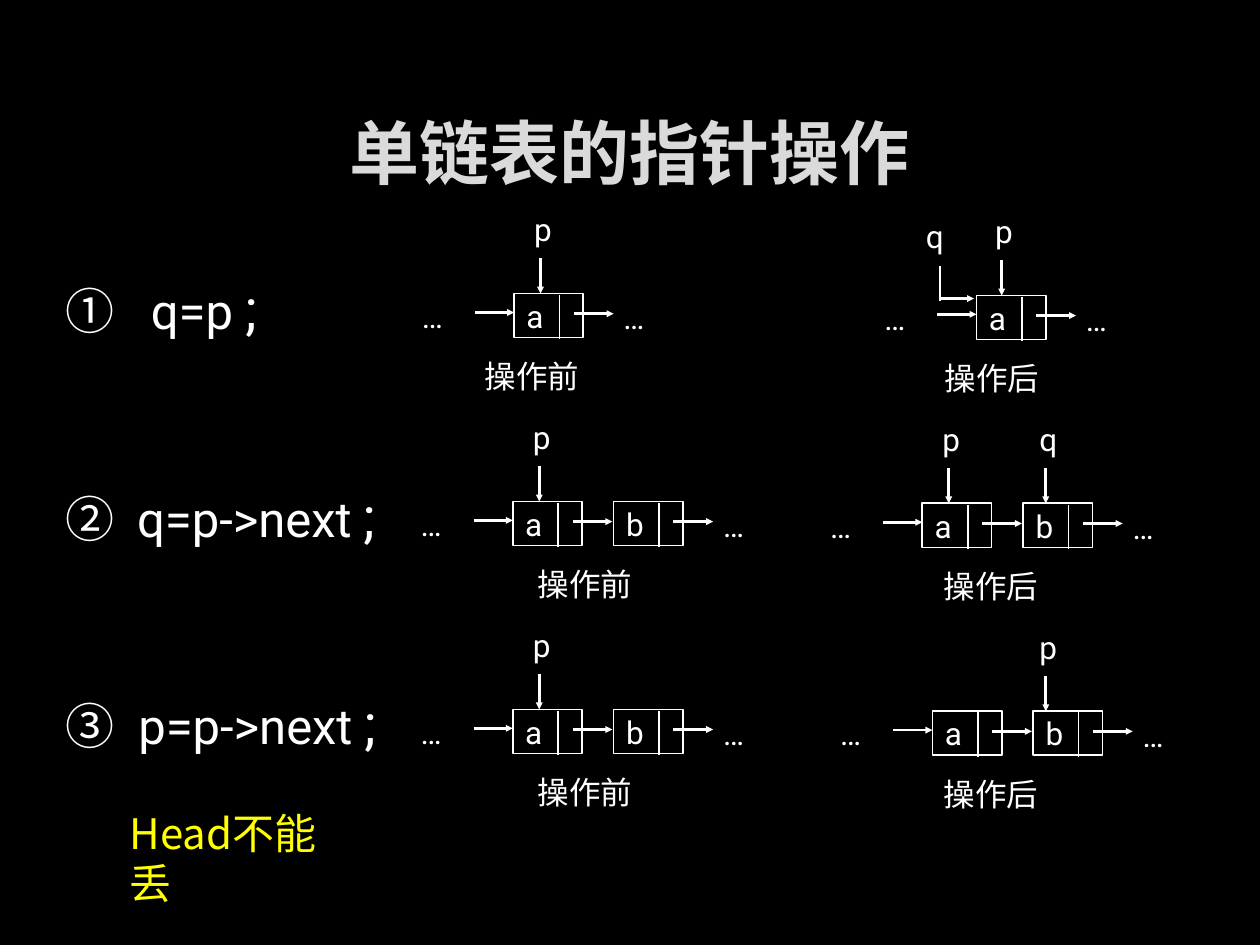
from lxml import etree
from pptx import Presentation
from pptx import util as u
from pptx.dml.color import RGBColor
from pptx.enum import shapes, text
from pptx.oxml.ns import qn

BLACK = RGBColor(0x00, 0x00, 0x00)
WHITE = RGBColor(0xFF, 0xFF, 0xFF)
SILVER = RGBColor(0xDA, 0xDA, 0xDA)
YELLOW = RGBColor(0xFF, 0xFF, 0x00)
LATIN = "Roboto"
CHINESE = "Noto Sans CJK SC"
COLUMNS, ROWS = 100, 75
FIRST_TOP, ROW_STEP, AFTER_DROP = 23.3, 16.5, 0.15
NODE_WIDTH, NODE_HEIGHT, NODE_STEP = 5.5, 3.5, 8


def write(paragraph, content, size=18, font=LATIN, color=WHITE, bold=False):
    run = paragraph.add_run()
    run.text = content
    run.font.size = u.Pt(size)
    run.font.name = font
    run.font.color.rgb = color
    run.font.bold = bold
    properties = run.font._element
    etree.SubElement(properties, qn("a:ea")).set("typeface", font)


class ListSlide:
    """Draws linked lists on a slide measured in grid columns and rows."""

    def __init__(self, presentation):
        self.column = presentation.slide_width / COLUMNS
        self.row = presentation.slide_height / ROWS
        self.slide = presentation.slides.add_slide(presentation.slide_layouts[6])
        self.slide.background.fill.solid()
        self.slide.background.fill.fore_color.rgb = BLACK

    def place(self, *lengths):
        units = (self.column, self.row) * 2
        return [round(length * unit) for length, unit in zip(lengths, units)]

    def box(self, left, top, width, height, wrap=False, anchor=text.MSO_ANCHOR.MIDDLE):
        shape = self.slide.shapes.add_textbox(*self.place(left, top, width, height))
        shape.text_frame.word_wrap = wrap
        shape.text_frame.vertical_anchor = anchor
        return shape.text_frame.paragraphs[0]

    def label(self, content, left, top, width=3.5, height=3.5):
        write(self.box(left, top, width, height), content)

    def line(self, x1, y1, x2, y2, width=1.0, arrow=False):
        connector = self.slide.shapes.add_connector(
            shapes.MSO_CONNECTOR.STRAIGHT, *self.place(x1, y1, x2, y2))
        connector.line.color.rgb = WHITE
        connector.line.width = u.Pt(width)
        if arrow:
            outline = connector.line._get_or_add_ln()
            head = etree.SubElement(outline, qn("a:tailEnd"))
            for name, value in (("type", "triangle"), ("w", "sm"), ("len", "sm")):
                head.set(name, value)
        etree.SubElement(connector._element.spPr, qn("a:effectLst"))

    def arrow(self, x1, y1, x2, y2):
        self.line(x1, y1, x2, y2, width=1.5, arrow=True)

    def node(self, name, left, top):
        shape = self.slide.shapes.add_shape(
            shapes.MSO_SHAPE.RECTANGLE, *self.place(left, top, NODE_WIDTH, NODE_HEIGHT))
        shape.shadow.inherit = False
        shape.fill.background()
        shape.line.color.rgb = WHITE
        shape.line.width = u.Pt(1)
        shape.text_frame.word_wrap = False
        shape.text_frame.vertical_anchor = text.MSO_ANCHOR.MIDDLE
        paragraph = shape.text_frame.paragraphs[0]
        paragraph.alignment = text.PP_ALIGN.LEFT
        write(paragraph, name)
        self.line(left + 3.6, top + 0.1, left + 3.6, top + 3.6)
        self.arrow(left + 4.75, top + 1.6, left + 7.9, top + 1.6)

    def pointer(self, name, x, top):
        self.label(name, x - 1.5, top - 6.9)
        self.arrow(x, top - 2.8, x, top)

    def linked_list(self, names, left, top, pointers, caption, caption_left):
        self.label("…", left - 8.3, top, width=4.3)
        self.arrow(left - 3.1, top + 1.5, left, top + 1.5)
        for index, name in enumerate(names):
            self.node(name, left + index * NODE_STEP, top)
        end = left + len(names) * NODE_STEP
        self.label("…", end - 0.3, top + 0.1, width=4.3)
        for name, x in pointers.items():
            self.pointer(name, x, top)
        self.label(caption, caption_left, top + 4.5, width=11.7, height=4.1)

    def command(self, number, code, top, tab):
        paragraph = self.box(4.2, top, 28, 5.1)
        stops = etree.SubElement(paragraph._p.get_or_add_pPr(), qn("a:tabLst"))
        stop = etree.SubElement(stops, qn("a:tab"))
        stop.set("pos", str(round(tab * self.column)))
        stop.set("algn", "l")
        write(paragraph, number + "\t", size=28, font=CHINESE)
        write(paragraph, code + " ", size=28)
        write(paragraph, ";", size=32)

    def title(self, content):
        paragraph = self.box(7.5, 6.7, 84.9, 10.6, wrap=True)
        paragraph.alignment = text.PP_ALIGN.CENTER
        write(paragraph, content, size=40, font=CHINESE, color=SILVER, bold=True)

    def warning(self, content):
        paragraph = self.box(9.3, 63.6, 18.8, 5, wrap=True, anchor=text.MSO_ANCHOR.TOP)
        write(paragraph, content, size=24, font=CHINESE, color=YELLOW)


def main():
    presentation = Presentation()
    presentation.slide_width, presentation.slide_height = u.Inches(10), u.Inches(7.5)
    page = ListSlide(presentation)
    page.title("单链表的指针操作")

    operations = [
        (("①", "q=p", 6.8), "a",
         (40.8, {"p": 42.9}, 37.5), (77.5, {"p": 79.5}, 74)),
        (("②", "q=p->next", 5.7), "ab",
         (40.7, {"p": 42.8}, 41.7), (73.2, {"p": 75.3, "q": 83}, 73.9)),
        (("③", "p=p->next", 5.8), "ab",
         (40.7, {"p": 42.8}, 41.7), (74, {"p": 83}, 73.9)),
    ]
    for index, (command, names, before, after) in enumerate(operations):
        top = FIRST_TOP + index * ROW_STEP
        number, code, tab = command
        page.command(number, code, top - 1.5, tab)
        for state, caption, drop in ((before, "操作前", 0), (after, "操作后", AFTER_DROP)):
            left, pointers, caption_left = state
            page.linked_list(names, left, top + drop, pointers, caption, caption_left)

    page.label("q", 72.5, 17)
    page.line(74.6, 21.1, 74.6, 23.9)
    page.arrow(74.6, 23.7, 77.3, 23.7)
    page.warning("Head不能丢")
    presentation.save("out.pptx")


if __name__ == "__main__":
    main()
